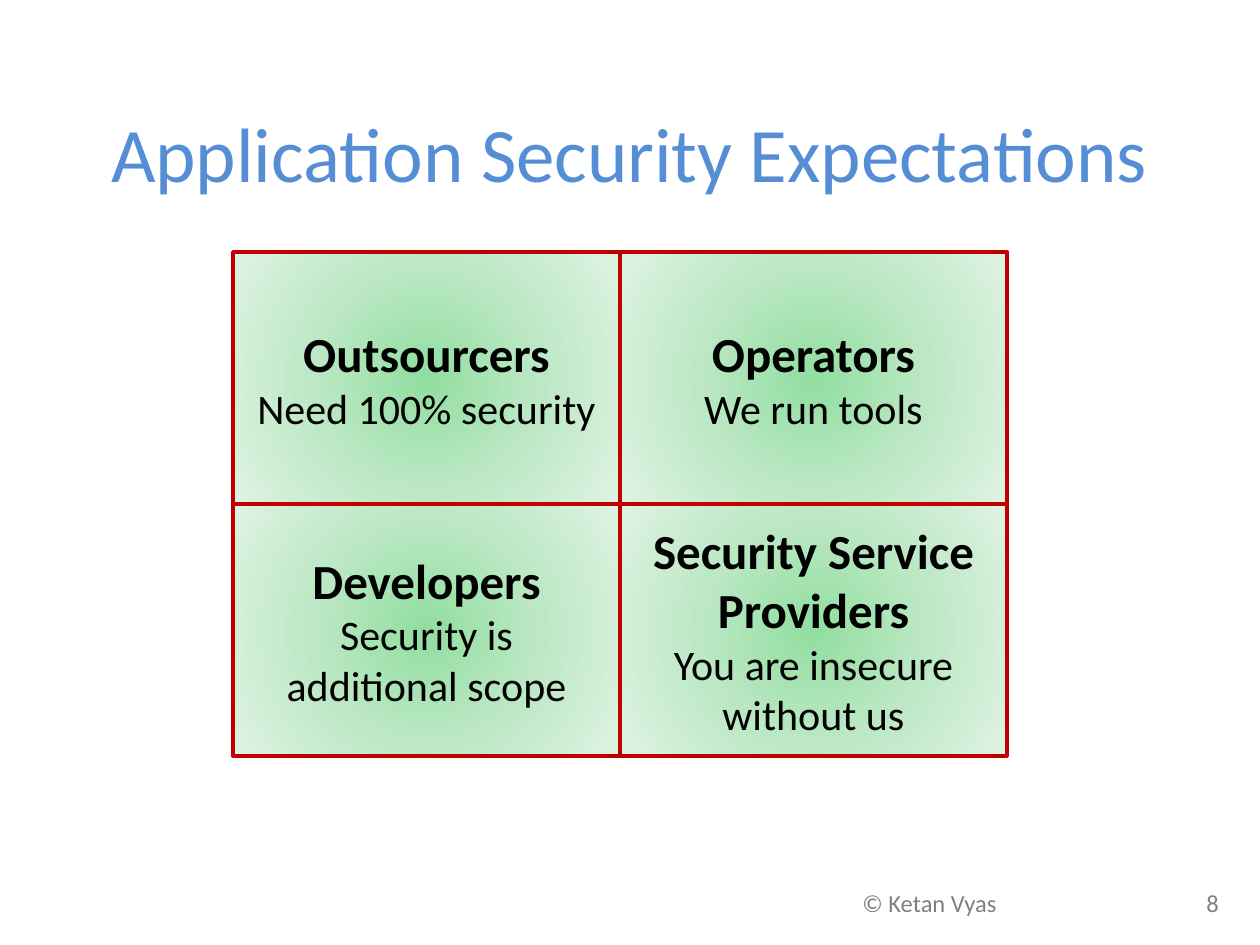
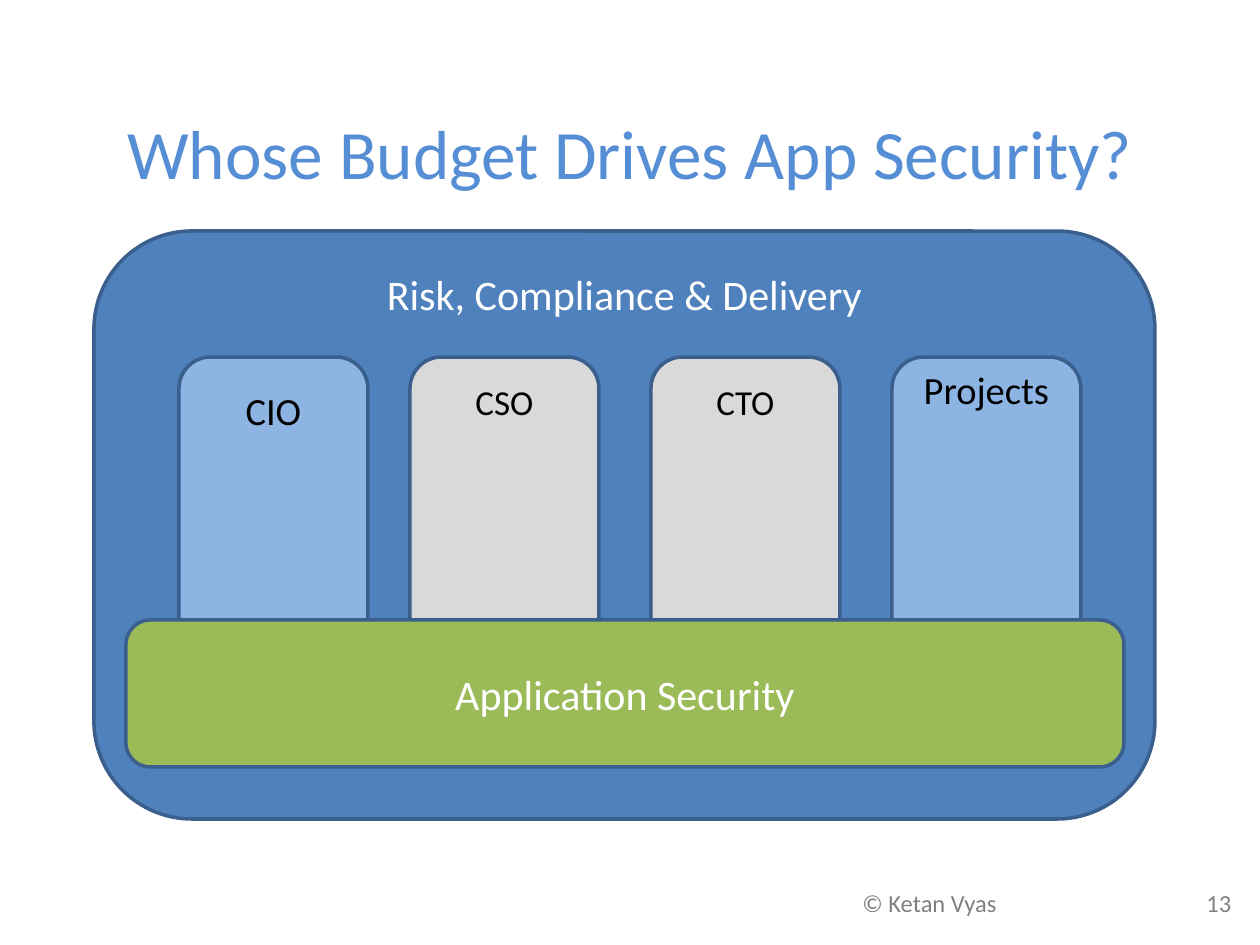
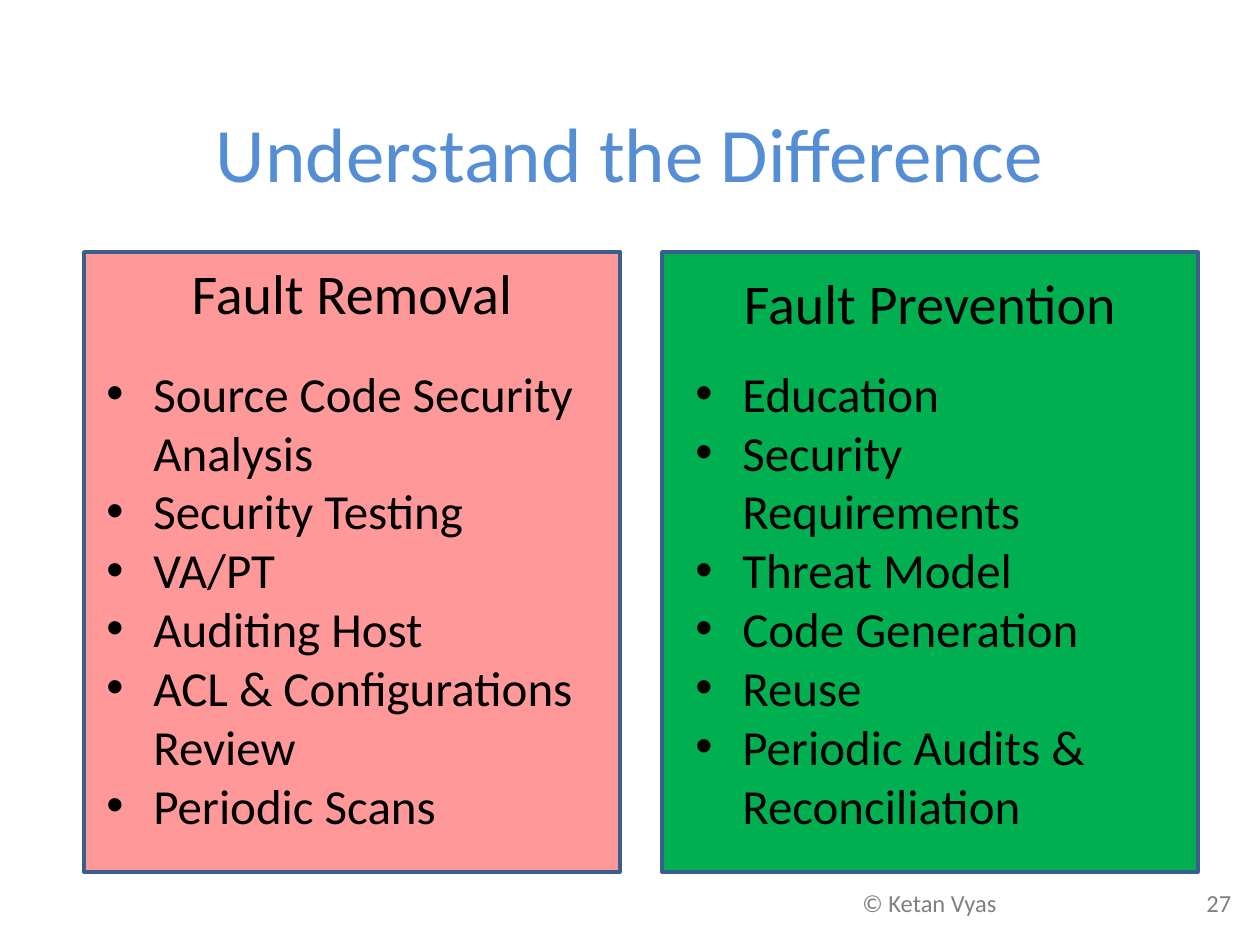
"""Build three slides on application security expectations, budgets and faults."""
from lxml import etree
from pptx import Presentation
from pptx.dml.color import RGBColor
from pptx.enum.shapes import MSO_SHAPE as Preset
from pptx.enum.text import MSO_ANCHOR as Anchor, PP_ALIGN as Align
from pptx.oxml import parse_xml
from pptx.oxml.ns import nsdecls, qn
from pptx.util import Pt

PX = 914400 // 126
FONT = "Calibri"
BLACK = RGBColor(0x00, 0x00, 0x00)
WHITE = RGBColor(0xFF, 0xFF, 0xFF)
GREY = RGBColor(0x80, 0x80, 0x80)
TITLE_BLUE = RGBColor(0x55, 0x8E, 0xD5)
NAVY = RGBColor(0x3A, 0x5F, 0x8C)
BLUE = RGBColor(0x4F, 0x81, 0xBD)
LIGHT_BLUE = RGBColor(0x8E, 0xB4, 0xE3)
SILVER = RGBColor(0xD9, 0xD9, 0xD9)
OLIVE = RGBColor(0x9B, 0xBB, 0x59)
CRIMSON = RGBColor(0xC0, 0x00, 0x00)
PINK = RGBColor(0xFF, 0x99, 0x99)
GREEN = RGBColor(0x00, 0xB0, 0x50)
GLOW = [
    (0, RGBColor(0x91, 0xDE, 0xA0)),
    (50, RGBColor(0xBD, 0xE8, 0xC5)),
    (100, RGBColor(0xDF, 0xF3, 0xE3)),
]

OWNER = "© Ketan Vyas"
TITLE_BOX = (63, 73, 1134, 158)
FOOTER_BOX = (850, 882, 399, 53)
NUMBER_TAB = 344

QUADRANTS = [
    [("Outsourcers", ["Need 100% security"]), ("Operators", ["We run tools"])],
    [
        ("Developers", ["Security is", "additional scope"]),
        ("Security Service Providers", ["You are insecure without us"]),
    ],
]
GRID_LEFT, GRID_TOP, CELL_WIDTH, CELL_HEIGHT = 233, 252, 387, 252

PILLARS = [
    ("CIO", 179, LIGHT_BLUE, 22, 21),
    ("CSO", 410, SILVER, 20, 14),
    ("CTO", 651, SILVER, 20, 14),
    ("Projects", 892, LIGHT_BLUE, 22, 0),
]
PILLAR_TOP, PILLAR_WIDTH, PILLAR_HEIGHT = 357, 189, 388

PANELS = [
    ("Fault Removal", 84, PINK, 7, 94, 504, [
        "Source Code Security Analysis", "Security Testing", "VA/PT",
        "Auditing Host", "ACL & Configurations Review", "Periodic Scans",
    ]),
    ("Fault Prevention", 662, GREEN, 17, 683, 472, [
        "Education", "Security Requirements", "Threat Model",
        "Code Generation", "Reuse", "Periodic Audits & Reconciliation",
    ]),
]
PANEL_TOP, PANEL_WIDTH, PANEL_HEIGHT = 252, 536, 620
LIST_TOP, LIST_HEIGHT, LIST_INDENT = 357, 488, 47


def scaled(box):
    return [length * PX for length in box]


def add_lines(frame, lines, color, align=Align.CENTER):
    """Write (text, size, bold) lines into a frame and return the paragraphs."""
    frame.word_wrap = True
    for index, (text, size, bold) in enumerate(lines):
        paragraph = frame.paragraphs[0] if index == 0 else frame.add_paragraph()
        paragraph.text = text
        paragraph.alignment = align
        font = paragraph.font
        font.name, font.size, font.bold = FONT, Pt(size), bold
        font.color.rgb = color
    return frame.paragraphs


def add_text(slide, box, lines, color, align=Align.CENTER, anchor=Anchor.TOP):
    frame = slide.shapes.add_textbox(*scaled(box)).text_frame
    frame.vertical_anchor = anchor
    return add_lines(frame, lines, color, align)


def add_box(slide, preset, box, fill, line, lines, color=BLACK, top_margin=None):
    """Add an outlined shape, with text centred or set below a top margin."""
    shape = slide.shapes.add_shape(preset, *scaled(box))
    shape.shadow.inherit = False
    if fill is GLOW:
        add_glow(shape)
    else:
        shape.fill.solid()
        shape.fill.fore_color.rgb = fill
    shape.line.color.rgb = line
    shape.line.width = Pt(2)
    frame = shape.text_frame
    frame.vertical_anchor = Anchor.MIDDLE
    if top_margin is not None:
        frame.vertical_anchor = Anchor.TOP
        frame.margin_top = top_margin * PX
    add_lines(frame, lines, color)


def add_glow(shape):
    stops = "".join(
        f'<a:gs pos="{percent * 1000}"><a:srgbClr val="{color}"/></a:gs>'
        for percent, color in GLOW
    )
    gradient = parse_xml(
        f'<a:gradFill {nsdecls("a")} rotWithShape="1"><a:gsLst>{stops}</a:gsLst>'
        '<a:path path="circle"><a:fillToRect l="50000" t="50000" r="50000" b="50000"/>'
        "</a:path></a:gradFill>"
    )
    shape.element.spPr.find(qn("a:prstGeom")).addnext(gradient)


def add_bullet(paragraph):
    properties = paragraph._p.get_or_add_pPr()
    properties.set("marL", str(LIST_INDENT * PX))
    properties.set("indent", str(-LIST_INDENT * PX))
    bullet = etree.Element(qn("a:buChar"), char="•")
    font = etree.Element(qn("a:buFont"), typeface="Arial")
    properties.insert(0, font)
    font.addnext(bullet)


def add_slide(presentation, title, title_size, number):
    """Add a blank slide with the shared title and footer."""
    slide = presentation.slides.add_slide(presentation.slide_layouts[6])
    add_text(slide, TITLE_BOX, [(title, title_size, False)], TITLE_BLUE,
             anchor=Anchor.MIDDLE)
    footer = add_text(slide, FOOTER_BOX, [(f"{OWNER}\t{number}", 14, False)],
                      GREY, Align.LEFT)[0]
    tabs = etree.Element(qn("a:tabLst"))
    etree.SubElement(tabs, qn("a:tab"), pos=str(NUMBER_TAB * PX), algn="l")
    footer._p.get_or_add_pPr().insert(0, tabs)
    return slide


def build_expectations(presentation):
    slide = add_slide(presentation, "Application Security Expectations", 44, 8)
    for row, cells in enumerate(QUADRANTS):
        for column, (role, views) in enumerate(cells):
            box = (GRID_LEFT + column * CELL_WIDTH, GRID_TOP + row * CELL_HEIGHT,
                   CELL_WIDTH, CELL_HEIGHT)
            lines = [(role, 28, True)] + [(view, 24, False) for view in views]
            add_box(slide, Preset.RECTANGLE, box, GLOW, CRIMSON, lines)


def build_budget(presentation):
    slide = add_slide(presentation, "Whose Budget Drives App Security?", 39.6, 13)
    rounded = Preset.ROUNDED_RECTANGLE
    add_box(slide, rounded, (94, 231, 1061, 588), BLUE, NAVY,
            [("Risk, Compliance & Delivery", 24, False)], WHITE, 9)
    for name, left, fill, size, margin in PILLARS:
        add_box(slide, rounded, (left, PILLAR_TOP, PILLAR_WIDTH, PILLAR_HEIGHT),
                fill, NAVY, [(name, size, False)], top_margin=margin)
    add_box(slide, rounded, (126, 620, 998, 147), OLIVE, NAVY,
            [("Application Security", 24, False)], WHITE)


def build_difference(presentation):
    slide = add_slide(presentation, "Understand the Difference", 44, 27)
    for heading, left, fill, margin, list_left, list_width, items in PANELS:
        add_box(slide, Preset.RECTANGLE, (left, PANEL_TOP, PANEL_WIDTH, PANEL_HEIGHT),
                fill, NAVY, [(heading, 32, False)], top_margin=margin)
        lines = [(item, 28, False) for item in items]
        for paragraph in add_text(slide, (list_left, LIST_TOP, list_width, LIST_HEIGHT),
                                  lines, BLACK, Align.LEFT):
            add_bullet(paragraph)


def main():
    presentation = Presentation()
    presentation.slide_width, presentation.slide_height = scaled((1260, 945))
    build_expectations(presentation)
    build_budget(presentation)
    build_difference(presentation)
    presentation.save("out.pptx")


if __name__ == "__main__":
    main()
